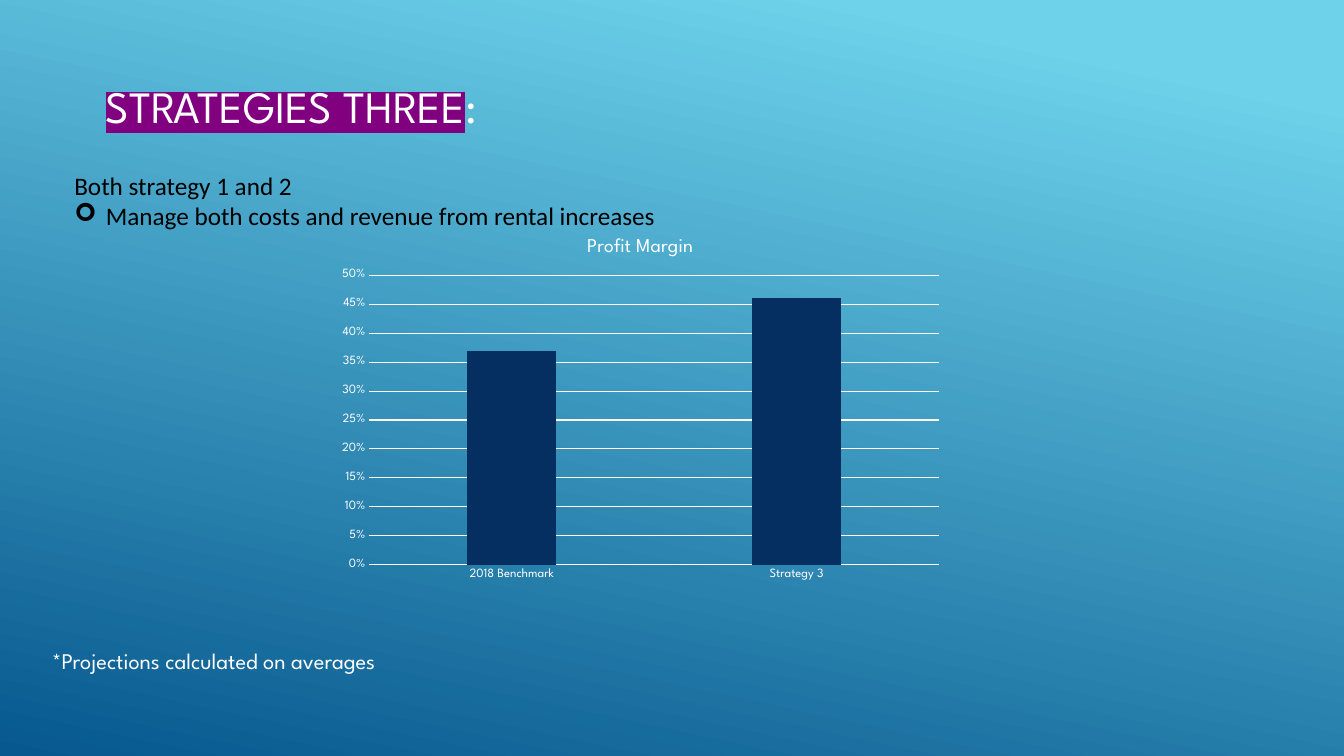
from dataclasses import dataclass

from lxml import etree
from pptx import Presentation
from pptx.chart.data import CategoryChartData
from pptx.dml.color import RGBColor
from pptx.enum.chart import XL_CHART_TYPE, XL_TICK_MARK
from pptx.enum.text import MSO_ANCHOR, MSO_AUTO_SIZE
from pptx.oxml.ns import qn
from pptx.util import Pt

COLUMN = XL_CHART_TYPE.COLUMN_CLUSTERED
NO_TICK = XL_TICK_MARK.NONE
TOP, MIDDLE = MSO_ANCHOR.TOP, MSO_ANCHOR.MIDDLE
GROW = MSO_AUTO_SIZE.SHAPE_TO_FIT_TEXT


@dataclass(frozen=True)
class Theme:
    white: str = "FFFFFF"
    black: str = "000000"
    navy: str = "052F61"
    purple: str = "800080"
    sky: str = "6ED2EB"
    deep: str = "06588E"
    display: str = "League Spartan"
    body: str = "Calibri"
    title: int = 32
    text: int = 18
    note: int = 16
    chart_title: int = 14
    chart: int = 10
    axis: int = 9


class SlideBuilder:
    def __init__(self, prs, theme):
        self.theme = theme
        self.s = prs.slides.add_slide(prs.slide_layouts[6])

    def font(self, font, size, color, name):
        font.color.rgb = RGBColor.from_string(color)
        for key, value in {"size": Pt(size), "name": name, "bold": False}.items():
            setattr(font, key, value)

    def line(self, line):
        line.color.rgb = RGBColor.from_string(self.theme.white)
        line.width = Pt(0.75)

    def background(self, angle, stops):
        fill = self.s.background.fill
        fill.gradient()
        fill.gradient_angle = 360 - angle
        for stop, (position, color) in zip(fill.gradient_stops, stops):
            stop.position = position
            stop.color.rgb = RGBColor.from_string(color)

    def text(self, box, paragraphs, size, color, name, spacing=None, **frame):
        """Each paragraph is a list of (text, highlight) runs."""
        tf = self.s.shapes.add_textbox(*map(Pt, box)).text_frame
        for key, value in {"word_wrap": True, **frame}.items():
            setattr(tf, key, value)
        for i, runs in enumerate(paragraphs):
            p = tf.add_paragraph() if i else tf.paragraphs[0]
            for key, value in (spacing or {}).items():
                setattr(p, key, value)
            for content, highlight in runs:
                r = p.add_run()
                r.text = content
                self.font(r.font, size, color, name)
                if highlight:
                    self.highlight(r, highlight)
        return tf

    def highlight(self, r, color):
        mark = etree.Element(qn("a:highlight"))
        etree.SubElement(mark, qn("a:srgbClr"), val=color)
        r.font._element.find(qn("a:latin")).addprevious(mark)

    def bullet(self, p, char, indent):
        pPr = p._p.get_or_add_pPr()
        pPr.set("marL", str(Pt(indent)))
        pPr.set("indent", str(-Pt(indent)))
        etree.SubElement(pPr, qn("a:buFont"), typeface="Wingdings")
        etree.SubElement(pPr, qn("a:buChar"), char=char)

    def column_chart(self, box, title, values, top, step):
        t = self.theme
        data = CategoryChartData(number_format="0%")
        data.categories = list(values)
        data.add_series(title, list(values.values()))
        chart = self.s.shapes.add_chart(COLUMN, *map(Pt, box), data).chart
        chart.has_legend = False
        self.font(chart.font, t.chart, t.white, t.display)

        # Chart title
        chart.has_title = True
        tf = chart.chart_title.text_frame
        tf.text = title
        self.font(tf.paragraphs[0].runs[0].font, t.chart_title, t.white, t.display)

        # Columns
        plot = chart.plots[0]
        for key, value in {"gap_width": 219, "overlap": -27, "vary_by_categories": False}.items():
            setattr(plot, key, value)
        fill = plot.series[0].format.fill
        fill.solid()
        fill.fore_color.rgb = RGBColor.from_string(t.navy)

        # Axes
        cat, val = chart.category_axis, chart.value_axis
        for axis in (cat, val):
            axis.major_tick_mark = axis.minor_tick_mark = NO_TICK
            self.font(axis.tick_labels.font, t.axis, t.white, t.display)
        self.line(cat.format.line)
        val.format.line.fill.background()
        for key, value in {"minimum_scale": 0, "maximum_scale": top, "major_unit": step,
                           "has_major_gridlines": True}.items():
            setattr(val, key, value)
        self.line(val.major_gridlines.format.line)
        val.tick_labels.number_format = "0%"
        val.tick_labels.number_format_is_linked = False


prs = Presentation()
prs.slide_width, prs.slide_height = Pt(960), Pt(540)
theme = Theme()
slide = SlideBuilder(prs, theme)
slide.background(102, [(0.1, theme.sky), (1, theme.deep)])

# Title
slide.text((68.4, 22.3, 677.5, 95.8), [[("STRATEGIES THREE", theme.purple), (":", None)]],
           theme.title, theme.white, theme.display,
           vertical_anchor=MIDDLE, margin_top=Pt(13.6))

# Footnote
slide.text((30.2, 454.3, 316, 34.6), [[("*Projections calculated on averages", None)]],
           theme.note, theme.white, theme.display,
           spacing={"space_before": Pt(3.2), "space_after": Pt(6)}, vertical_anchor=MIDDLE)

# Strategy summary
summary = slide.text((46, 118, 868.3, 51), [
    [("Both strategy 1 and 2", None)],
    [("Manage both costs and revenue from rental increases", None)],
], theme.text, theme.black, theme.body, vertical_anchor=TOP, auto_size=GROW)
slide.bullet(summary.paragraphs[1], "\u27a2", 22.5)

# Profit margin chart
slide.column_chart((235.4, 157, 444.2, 262.8), "Profit Margin",
                   {"2018 Benchmark": 0.37, "Strategy 3": 0.46}, top=0.5, step=0.05)

prs.save("out.pptx")
